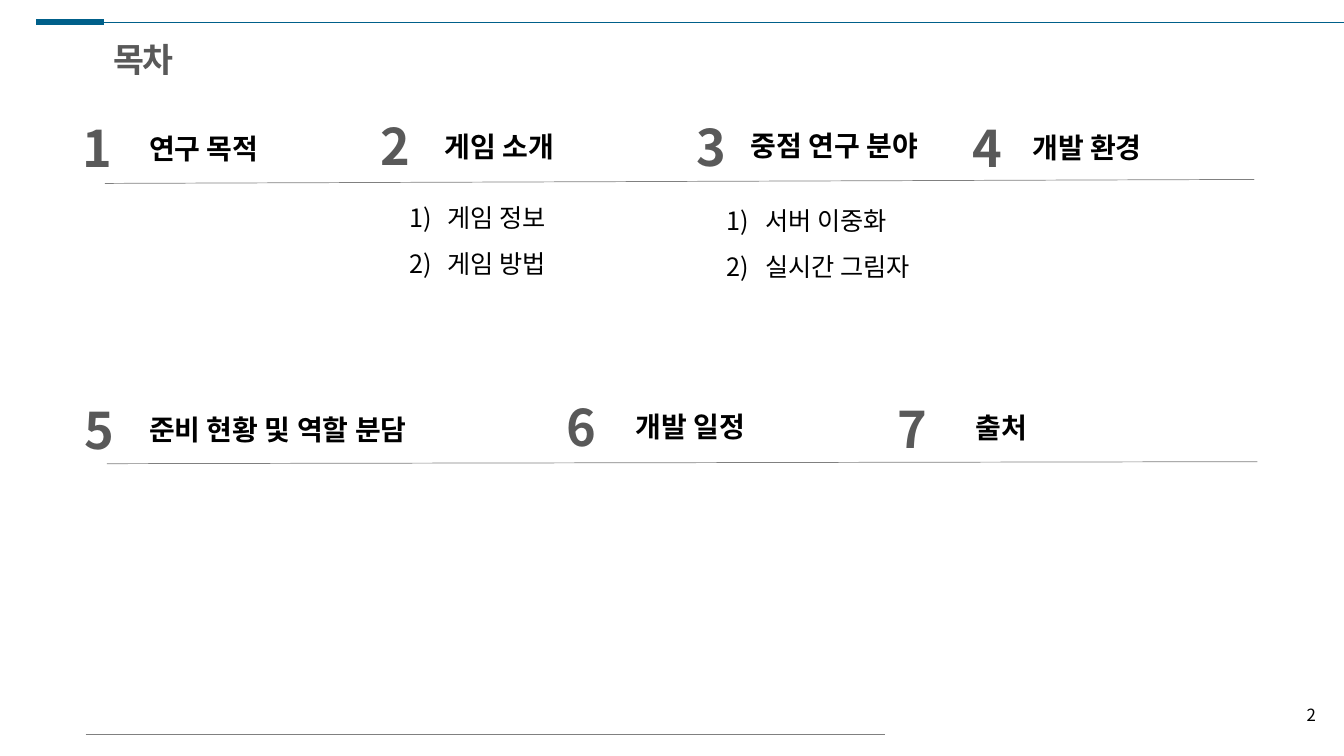
import dataclasses

import lxml.etree
import pptx
import pptx.dml.color
import pptx.enum.shapes
import pptx.enum.text
import pptx.oxml.ns
import pptx.util

Inches = pptx.util.Inches
Pt = pptx.util.Pt
Align = pptx.enum.text.PP_ALIGN
Anchor = pptx.enum.text.MSO_ANCHOR
Fit = pptx.enum.text.MSO_AUTO_SIZE
qn = pptx.oxml.ns.qn

FONT = "Noto Sans CJK KR"
BLUE, GREY, DARK, BLACK = "00608A", "808080", "595959", "000000"


@dataclasses.dataclass
class Box:
    left: float
    top: float
    width: float
    height: float


@dataclasses.dataclass
class Style:
    size: float
    ink: str = BLACK
    bold: bool = False
    anchor: Anchor = Anchor.MIDDLE
    align: Align = Align.LEFT
    wrap: bool = True
    grow: bool = True
    space: int = 0
    listed: bool = False


@dataclasses.dataclass
class Rule:
    left: float
    start: float
    right: float
    end: float
    ink: str = GREY
    weight: float = 0.5


@dataclasses.dataclass
class Topic:
    label: str
    badge: Box
    title: str
    head: Box


@dataclasses.dataclass
class Points:
    box: Box
    text: str


TITLE = Style(24, DARK, True, Anchor.TOP, wrap=False, space=-150)
BADGE = Style(36, DARK, True)
HEAD = Style(20, bold=True)
POINT = Style(18, anchor=Anchor.TOP, listed=True)
PAGE = Style(12, align=Align.RIGHT, grow=False)

RULES = [
    Rule(0.36, 0.22, 13.33, 0.22, BLUE),
    Rule(0.36, 0.22, 1.03, 0.22, BLUE, 4.5),
    Rule(12.44, 1.78, 1.04, 1.82),
    Rule(12.47, 4.58, 1.06, 4.6),
    Rule(0.85, 7.29, 8.78, 7.29),
]
TOPICS = [
    Topic("1", Box(0.72, 1.11, 0.65, 0.71), "연구 목적", Box(1.38, 1.25, 1.55, 0.44)),
    Topic("2", Box(3.68, 1.09, 0.61, 0.71), "게임 소개", Box(4.31, 1.23, 1.47, 0.44)),
    Topic("3", Box(6.81, 1.1, 0.82, 0.71), "중점 연구 분야", Box(7.35, 1.06, 1.97, 0.77)),
    Topic("4", Box(9.55, 1.11, 0.59, 0.71), "개발 환경", Box(10.14, 1.24, 2.1, 0.44)),
    Topic("5", Box(0.74, 3.9, 0.62, 0.71), "준비 현황 및 역할 분담", Box(1.38, 4.04, 3.16, 0.44)),
    Topic("6", Box(5.52, 3.87, 0.68, 0.71), "개발 일정", Box(6.21, 4.01, 1.6, 0.44)),
    Topic("7", Box(8.8, 3.89, 1, 0.71), "출처", Box(9.58, 4.02, 1.07, 0.44)),
]
POINTS = [
    Points(Box(3.96, 1.81, 1.75, 0.97), "게임 정보\n게임 방법"),
    Points(Box(7.11, 1.84, 2.74, 0.97), "서버 이중화\n실시간 그림자"),
]

deck = pptx.Presentation()
deck.slide_width = Inches(13.33)
deck.slide_height = Inches(7.5)
slide = deck.slides.add_slide(deck.slide_layouts[6])


def tint(ink: str) -> pptx.dml.color.RGBColor:
    return pptx.dml.color.RGBColor.from_string(ink)


def draw_rule(rule: Rule) -> None:
    line = slide.shapes.add_connector(
        pptx.enum.shapes.MSO_CONNECTOR.STRAIGHT,
        Inches(rule.left), Inches(rule.start), Inches(rule.right), Inches(rule.end),
    )
    line.line.color.rgb = tint(rule.ink)
    line.line.width = Pt(rule.weight)
    lxml.etree.SubElement(line._element.spPr, qn("a:effectLst"))


def number(para) -> None:
    para.line_spacing = 1.5
    props = para._p.get_or_add_pPr()
    props.set("marL", str(Inches(0.38)))
    props.set("indent", str(-Inches(0.38)))
    lxml.etree.SubElement(props, qn("a:buFont"), typeface="+mj-lt")
    lxml.etree.SubElement(props, qn("a:buAutoNum"), type="arabicParenR")


def draw_text(box: Box, text: str, style: Style) -> None:
    shape = slide.shapes.add_textbox(
        Inches(box.left), Inches(box.top), Inches(box.width), Inches(box.height)
    )
    frame = shape.text_frame
    frame.text = text
    frame.word_wrap = style.wrap
    frame.vertical_anchor = style.anchor
    frame.auto_size = Fit.SHAPE_TO_FIT_TEXT if style.grow else Fit.NONE
    for para in frame.paragraphs:
        para.alignment = style.align
        if style.listed:
            number(para)
        for run in para.runs:
            run.font.size = Pt(style.size)
            run.font.bold = style.bold
            run.font.color.rgb = tint(style.ink)
            run.font.name = FONT
            props = run._r.get_or_add_rPr()
            lxml.etree.SubElement(props, qn("a:ea"), typeface=FONT)
            if style.space:
                props.set("spc", str(style.space))


for rule in RULES:
    draw_rule(rule)
draw_text(Box(1.03, 0.34, 0.79, 0.5), "목차", TITLE)
for points in POINTS:
    draw_text(points.box, points.text, POINT)
for topic in TOPICS:
    draw_text(topic.badge, topic.label, BADGE)
    draw_text(topic.head, topic.title, HEAD)
draw_text(Box(12.72, 6.89, 0.43, 0.4), "2", PAGE)

deck.save("out.pptx")
